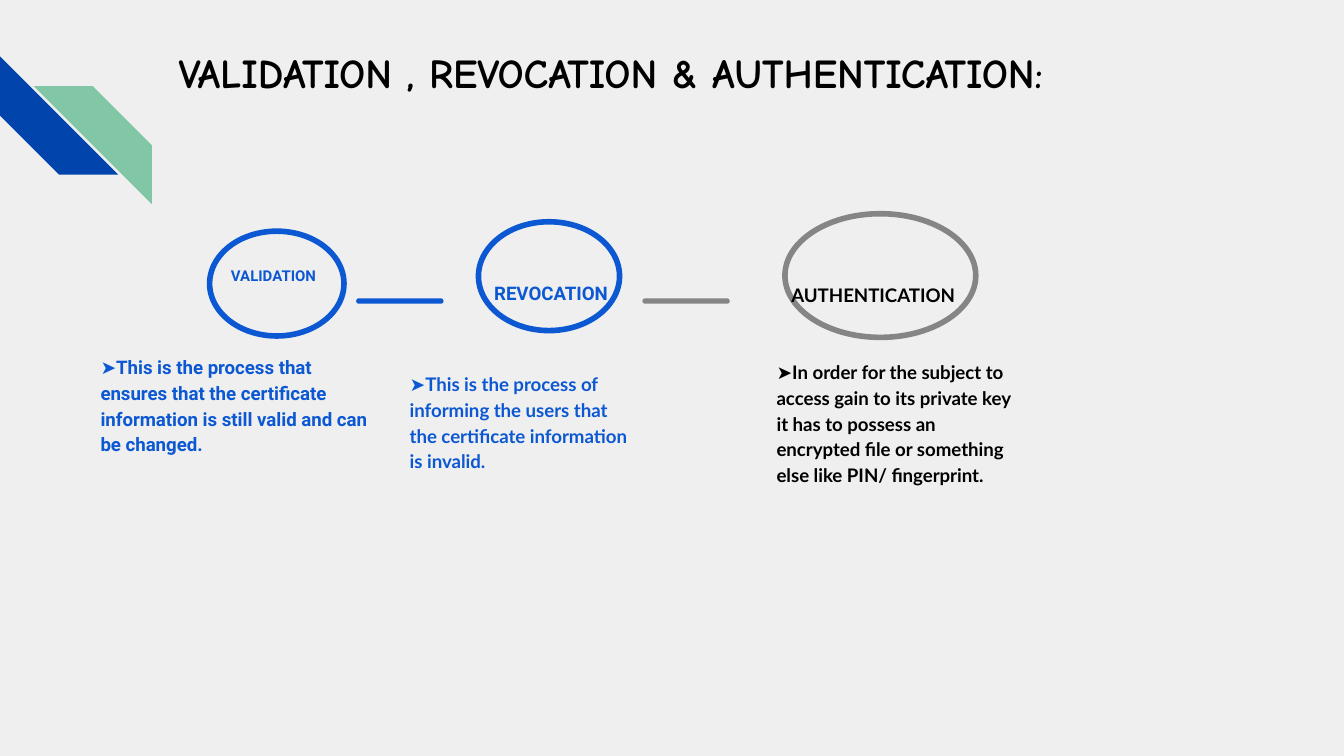
from dataclasses import dataclass

from pptx import Presentation
from pptx.dml.color import RGBColor
from pptx.enum.shapes import MSO_SHAPE
from pptx.enum.text import MSO_ANCHOR, PP_ALIGN
from pptx.shapes.autoshape import Shape
from pptx.slide import Slide
from pptx.util import Inches, Pt

COLORS = {
    "background": "EFEFEF",
    "navy": "0145AC",
    "green": "82C7A5",
    "blue": "0C58D3",
    "gray": "858585",
    "black": "000000",
}
Box = tuple[float, float, float, float]


@dataclass
class Label:
    text: str
    box: Box
    font: str
    size: float = 10
    anchor: MSO_ANCHOR = MSO_ANCHOR.TOP
    align: PP_ALIGN = PP_ALIGN.LEFT
    spacing: float = 1.15


@dataclass
class Stage:
    ring: Box
    ring_color: str
    text_color: str
    heading: Label
    description: Label


STAGES = [
    Stage(
        (1.56, 1.72, 1, 0.78), "blue", "blue",
        Label("VALIDATION", (1.62, 1.89, 1.04, 0.6), "Roboto", size=8),
        Label("➤This is the process that ensures that the certificate information "
              "is still valid and can be changed.",
              (0.65, 2.5, 2.27, 0.99), "Roboto", anchor=MSO_ANCHOR.BOTTOM),
    ),
    Stage(
        (3.56, 1.65, 1.05, 0.81), "blue", "blue",
        Label("REVOCATION", (3.56, 1.97, 1.08, 0.4), "Roboto",
              anchor=MSO_ANCHOR.MIDDLE, align=PP_ALIGN.CENTER),
        Label("➤This is the process of informing the users that the certificate "
              "information is invalid.",
              (2.95, 2.65, 1.87, 1.56), "Lato"),
    ),
    Stage(
        (5.84, 1.59, 1.42, 0.92), "gray", "black",
        Label("AUTHENTICATION", (5.79, 1.98, 1.47, 0.4), "Lato", anchor=MSO_ANCHOR.MIDDLE),
        Label("➤In order for the subject to access gain to its private key it has to "
              "possess an encrypted file or something else like PIN/ fingerprint.",
              (5.68, 2.55, 2.03, 1.17), "Lato", anchor=MSO_ANCHOR.BOTTOM),
    ),
]
TITLE = Label("VALIDATION , REVOCATION & AUTHENTICATION", (1.23, 0.25, 8.58, 0.75),
              "Comic Neue", size=22, spacing=1)


def rgb(color: str) -> RGBColor:
    """Return the named colour."""
    return RGBColor.from_string(COLORS[color])


def add_filled(slide: Slide, preset: MSO_SHAPE, box: Box, color: str) -> Shape:
    """Draw a half-adjusted preset shape with a plain fill and no outline."""
    shape = slide.shapes.add_shape(preset, *map(Inches, box))
    shape.shadow.inherit = False
    shape.adjustments[0] = 0.5
    shape.fill.solid()
    shape.fill.fore_color.rgb = rgb(color)
    shape.line.fill.background()
    return shape


def add_ring(slide: Slide, box: Box, color: str) -> None:
    """Draw an unfilled ellipse with a thick outline."""
    ring = slide.shapes.add_shape(MSO_SHAPE.OVAL, *map(Inches, box))
    ring.shadow.inherit = False
    ring.fill.background()
    ring.line.color.rgb = rgb(color)
    ring.line.width = Pt(3)


def add_label(slide: Slide, label: Label, color: str) -> Shape:
    """Write a bold one-paragraph label."""
    text_box = slide.shapes.add_textbox(*map(Inches, label.box))
    frame = text_box.text_frame
    frame.word_wrap = True
    frame.vertical_anchor = label.anchor
    frame.margin_left = frame.margin_right = Inches(0.1)
    frame.margin_top = frame.margin_bottom = Inches(0.1)
    frame.text = label.text
    paragraph = frame.paragraphs[0]
    paragraph.alignment = label.align
    paragraph.line_spacing = label.spacing
    font = paragraph.runs[0].font
    font.name, font.size, font.bold = label.font, Pt(label.size), True
    font.color.rgb = rgb(color)
    return text_box


def add_title(slide: Slide) -> None:
    """Write the title with its slightly smaller colon."""
    heading = add_label(slide, TITLE, "black")
    colon = heading.text_frame.paragraphs[0].add_run()
    colon.text = ":"
    colon.font.name, colon.font.size, colon.font.bold = TITLE.font, Pt(20), True
    colon.font.color.rgb = rgb("black")


def add_corner_stripes(slide: Slide) -> None:
    """Draw the two diagonal stripes at the left edge."""
    navy_stripe = add_filled(slide, MSO_SHAPE.DIAGONAL_STRIPE, (0, 0.42, 0.88, 0.88), "navy")
    navy_stripe.rotation = 270
    green_stripe = add_filled(slide, MSO_SHAPE.DIAGONAL_STRIPE, (0.25, 0.64, 0.88, 0.88), "green")
    green_stripe.element.spPr.xfrm.set("flipH", "1")


def main() -> None:
    """Build and save the slide."""
    presentation = Presentation()
    presentation.slide_width = Inches(10)
    presentation.slide_height = Inches(10 * 9 / 16)
    slide = presentation.slides.add_slide(presentation.slide_layouts[6])
    slide.background.fill.solid()
    slide.background.fill.fore_color.rgb = rgb("background")
    add_corner_stripes(slide)
    add_title(slide)
    for left, color in ((2.65, "blue"), (4.78, "gray")):
        add_filled(slide, MSO_SHAPE.ROUNDED_RECTANGLE, (left, 2.22, 0.65, 0.04), color)
    for stage in STAGES:
        add_ring(slide, stage.ring, stage.ring_color)
        add_label(slide, stage.heading, stage.text_color)
        add_label(slide, stage.description, stage.text_color)
    presentation.save("out.pptx")


if __name__ == "__main__":
    main()
